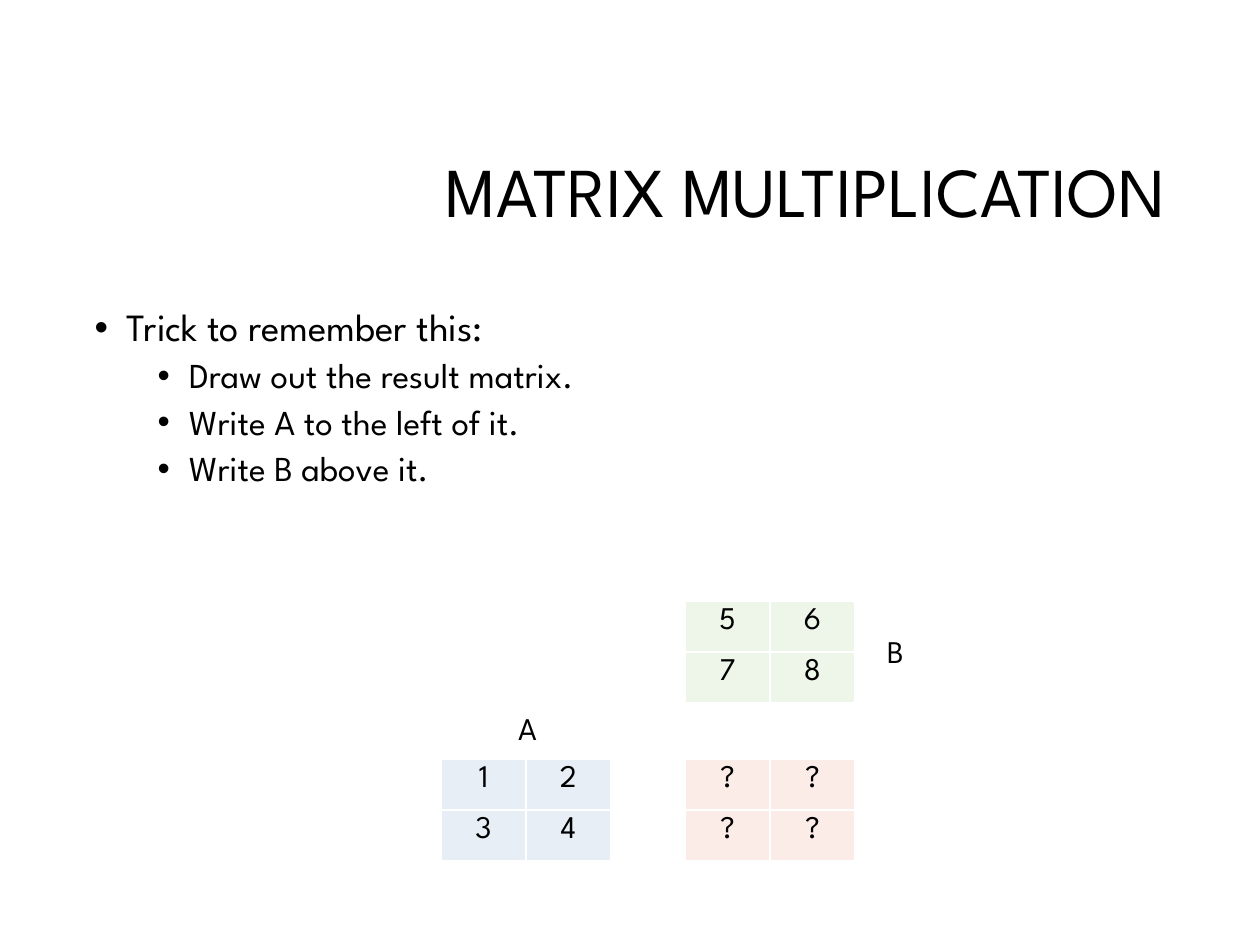
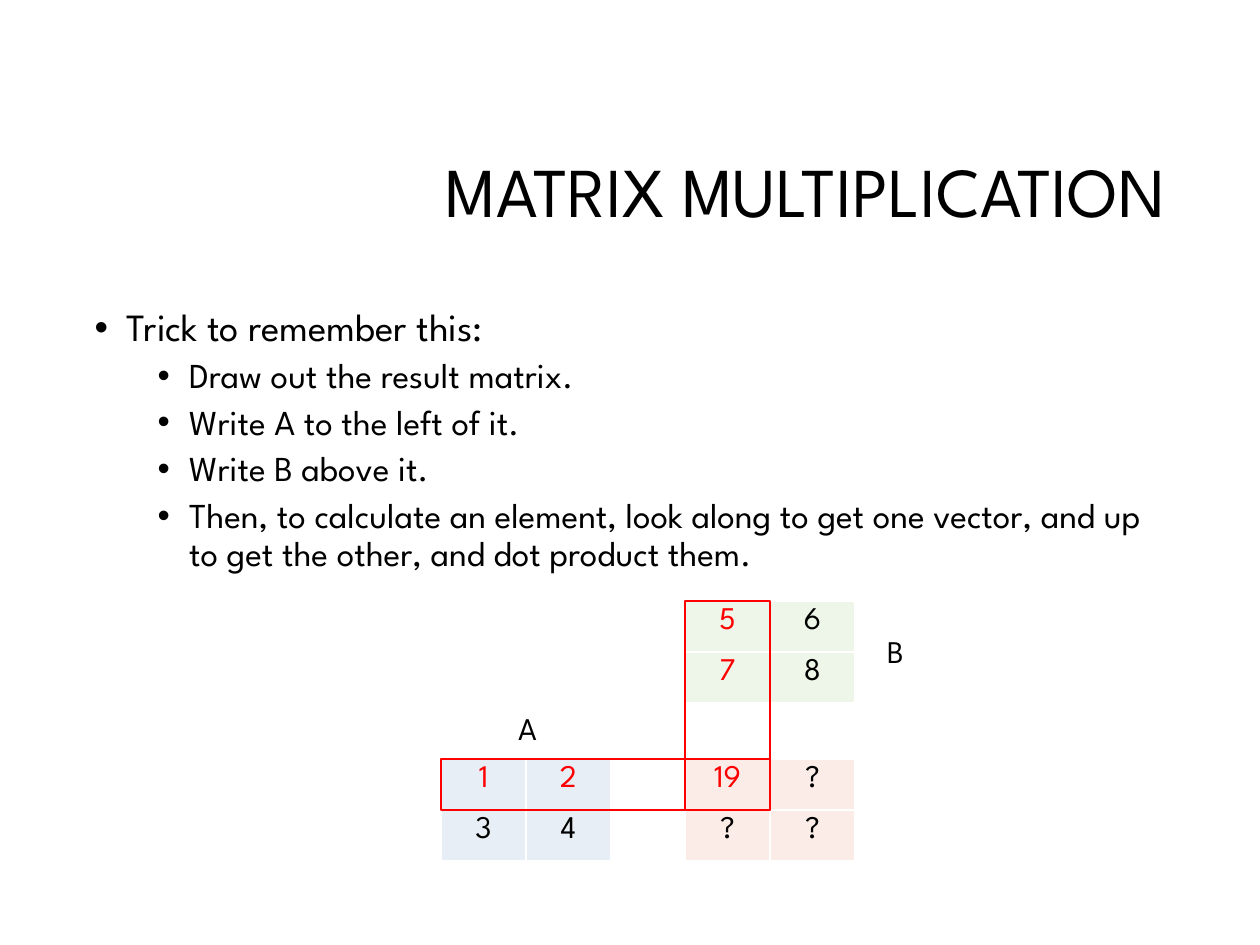
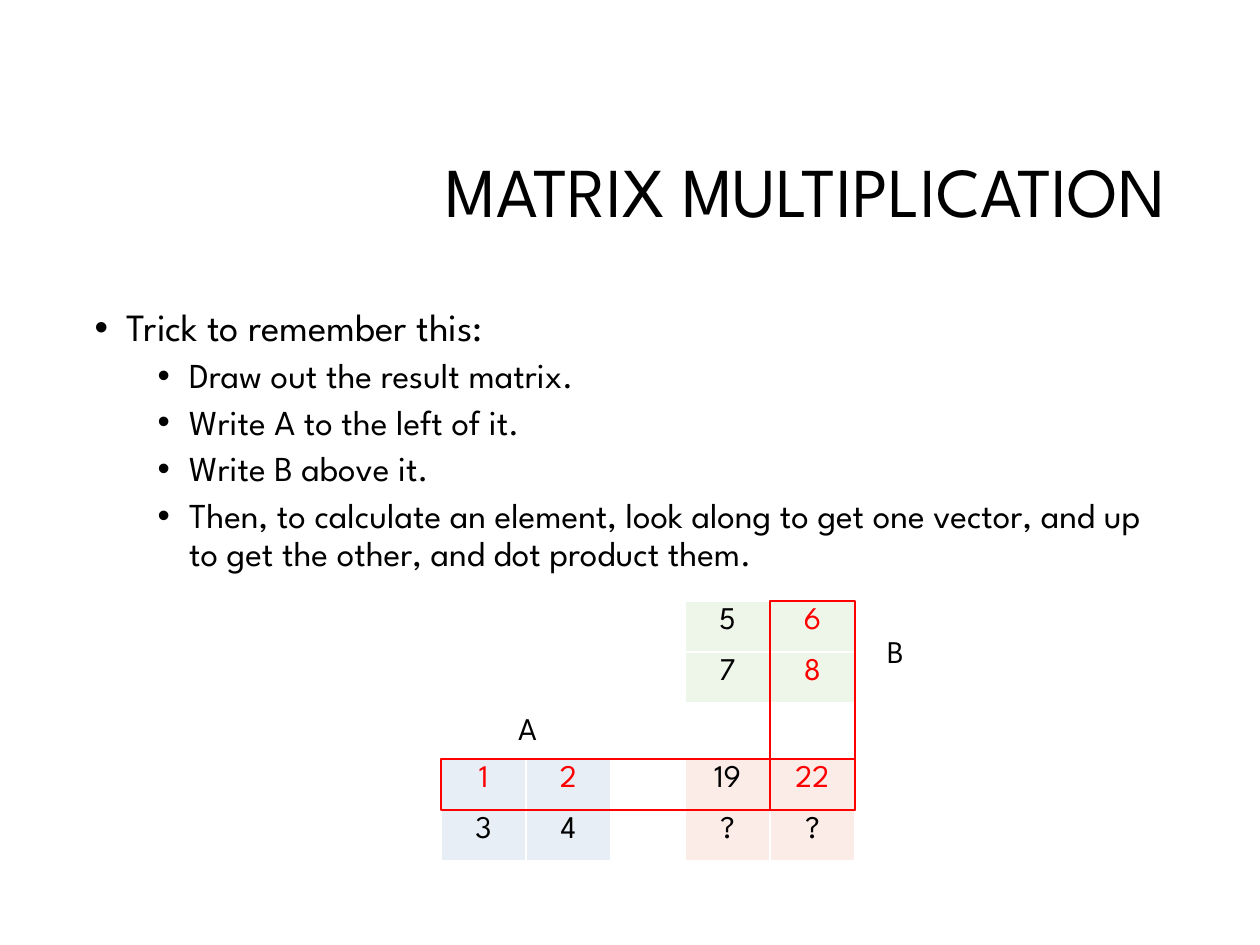
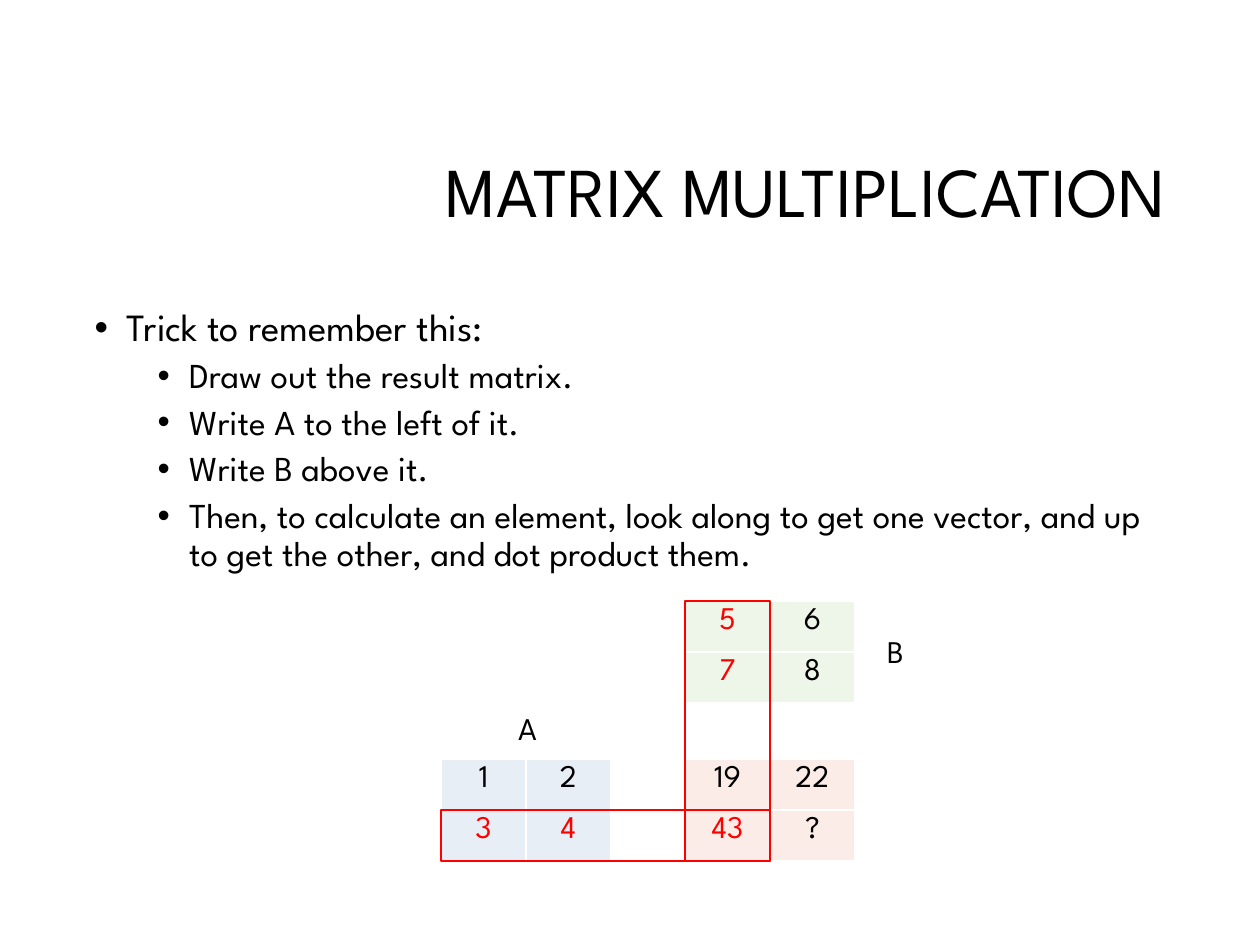
"""Build four slides that explain matrix multiplication one element at a time."""
from lxml.etree import SubElement
from pptx import Presentation
from pptx.dml.color import RGBColor
from pptx.enum.shapes import MSO_SHAPE
from pptx.enum.text import MSO_ANCHOR, MSO_AUTO_SIZE, PP_ALIGN
from pptx.oxml.ns import qn
from pptx.util import Emu, Pt

FONT = "League Spartan"
COLORS = {
    "text": "000000",
    "highlight": "FF0000",
    "border": "FFFFFF",
    "result": "FBECE7",
    "A": "E7EEF5",
    "B": "EEF6E9",
}
PX = 914400 / 126
CELL_WIDTH, CELL_HEIGHT = 85, 51
LEFT_A, LEFT_B = 441, 685
TOP_A, TOP_B = 759, 601
MATRIX_A = [[1, 2], [3, 4]]
MATRIX_B = [[5, 6], [7, 8]]
BULLETS = [
    "Trick to remember this:",
    "Draw out the result matrix.",
    "Write A to the left of it.",
    "Write B above it.",
    "Then, to calculate an element, look along to get one vector, "
    "and up to get the other, and dot product them.",
]
TARGETS = [None, (0, 0), (0, 1), (1, 0)]


def place(*lengths):
    """Turn px lengths into EMU."""
    return [Emu(round(length * PX)) for length in lengths]


def style(para, size, align, color="text"):
    """Format a paragraph and its runs."""
    para.alignment = align
    for span in para.runs:
        span.font.name = FONT
        span.font.size = Pt(size)
        span.font.color.rgb = RGBColor.from_string(COLORS[color])


deck = Presentation()
deck.slide_width, deck.slide_height = place(1260, 945)
result = [["?", "?"], ["?", "?"]]

for target in TARGETS:
    page = deck.slides.add_slide(deck.slide_layouts[1])

    title = page.shapes.title
    title.left, title.top, title.width, title.height = place(300, 106, 878, 178)
    title.text_frame.text = "MATRIX MULTIPLICATION"
    title.text_frame.vertical_anchor = MSO_ANCHOR.MIDDLE
    title.text_frame.auto_size = MSO_AUTO_SIZE.NONE
    title.text_frame.paragraphs[0].line_spacing = 0.9
    style(title.text_frame.paragraphs[0], 40, PP_ALIGN.RIGHT)

    body = page.placeholders[1]
    body.left, body.top, body.width, body.height = place(82, 302, 1096, 299)
    body.text_frame.text = "\n".join(BULLETS if target else BULLETS[:-1])
    body.text_frame.auto_size = MSO_AUTO_SIZE.NONE
    for index, para in enumerate(body.text_frame.paragraphs):
        para.level = 1 if index else 0
        para.line_spacing = 0.9
        para.space_before = Pt(5 if index else 10)
        style(para, 20 if index else 22, PP_ALIGN.LEFT)
        properties = para._p.get_or_add_pPr()
        properties.set("marL", str(Pt(54 if index else 18)))
        properties.set("indent", str(-Pt(18)))
        SubElement(properties, qn("a:buChar"), char="•")

    marked = {"result": set(), "A": set(), "B": set()}
    if target:
        row, column = target
        result[row][column] = sum(MATRIX_A[row][k] * MATRIX_B[k][column] for k in range(2))
        marked = {
            "result": {target},
            "A": {(row, k) for k in range(2)},
            "B": {(k, column) for k in range(2)},
        }

    for name, values, left, top in [
        ("result", result, LEFT_B, TOP_A),
        ("A", MATRIX_A, LEFT_A, TOP_A),
        ("B", MATRIX_B, LEFT_B, TOP_B),
    ]:
        frame = page.shapes.add_table(2, 2, *place(left, top, 2 * CELL_WIDTH, 2 * CELL_HEIGHT))
        table = frame.table
        table.first_row = table.horz_banding = False
        for i in range(2):
            for j in range(2):
                cell = table.cell(i, j)
                cell.text_frame.text = str(values[i][j])
                color = "highlight" if (i, j) in marked[name] else "text"
                style(cell.text_frame.paragraphs[0], 18, PP_ALIGN.CENTER, color)
                properties = cell._tc.get_or_add_tcPr()
                for side in ("a:lnL", "a:lnR", "a:lnT", "a:lnB"):
                    border = SubElement(properties, qn(side), w=str(Pt(1)))
                    fill = SubElement(border, qn("a:solidFill"))
                    SubElement(fill, qn("a:srgbClr"), val=COLORS["border"])
                cell.fill.solid()
                cell.fill.fore_color.rgb = RGBColor.from_string(COLORS[name])

    if target:
        column_left = LEFT_B + column * CELL_WIDTH
        row_top = TOP_A + row * CELL_HEIGHT
        for bounds in [
            (LEFT_A, row_top, column_left + CELL_WIDTH - LEFT_A, CELL_HEIGHT),
            (column_left, TOP_B, CELL_WIDTH, row_top + CELL_HEIGHT - TOP_B),
        ]:
            outline = page.shapes.add_shape(MSO_SHAPE.RECTANGLE, *place(*bounds))
            outline.shadow.inherit = False
            outline.fill.background()
            outline.line.color.rgb = RGBColor.from_string(COLORS["highlight"])
            outline.line.width = Pt(1)

    for name, left, top in [("A", 488, 703), ("B", 856, 626)]:
        box = page.shapes.add_textbox(*place(left, top, 79, 50))
        box.text_frame.word_wrap = True
        box.text_frame.auto_size = MSO_AUTO_SIZE.SHAPE_TO_FIT_TEXT
        box.text_frame.text = name
        style(box.text_frame.paragraphs[0], 18, PP_ALIGN.CENTER)

deck.save("out.pptx")
